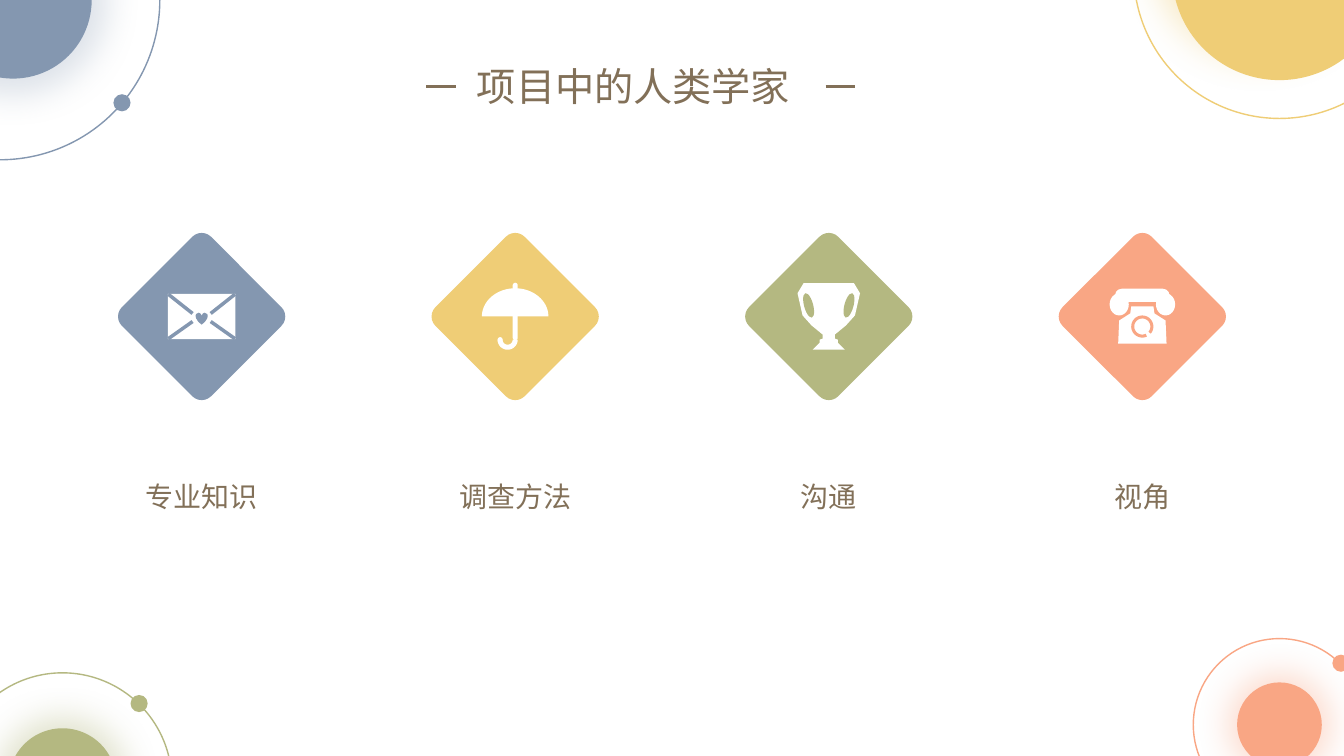
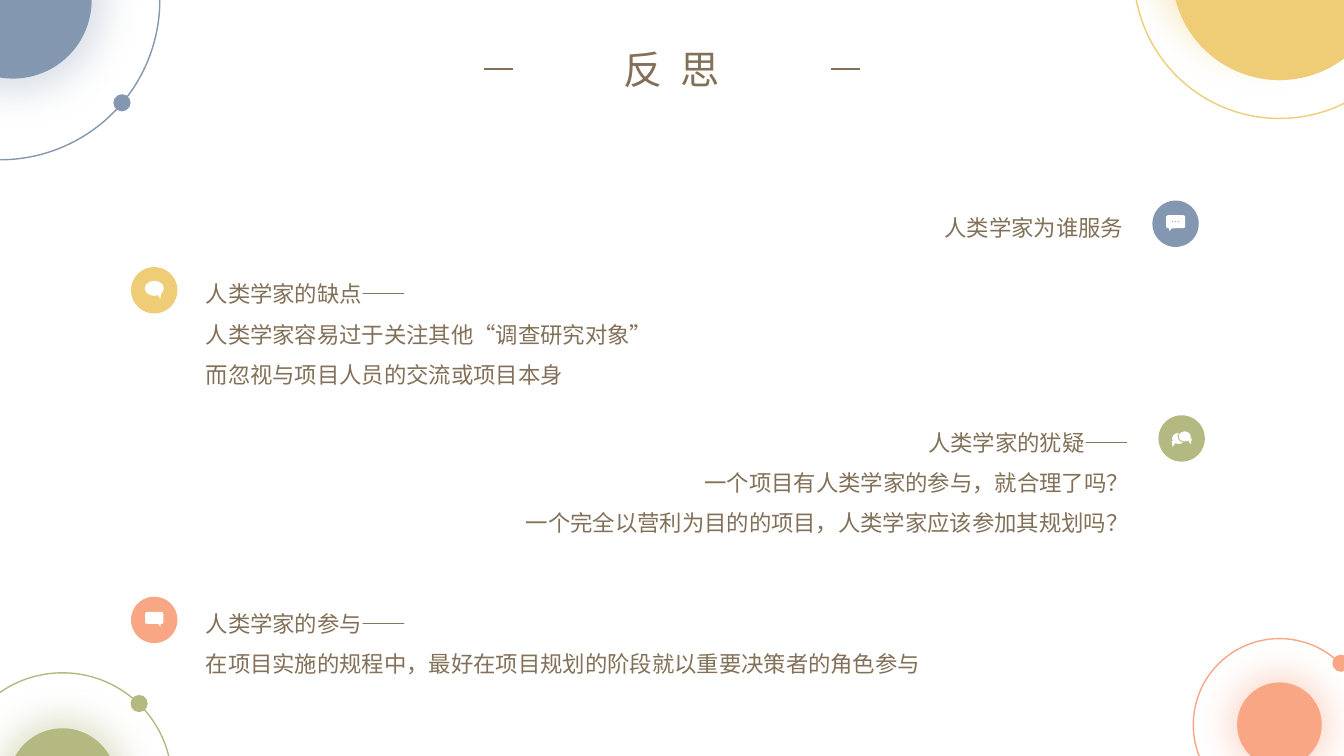
import math
from dataclasses import dataclass
from typing import Optional

from lxml import etree
from pptx import Presentation
from pptx.dml.color import RGBColor
from pptx.enum.lang import MSO_LANGUAGE_ID
from pptx.enum.shapes import MSO_CONNECTOR, MSO_SHAPE
from pptx.enum.text import MSO_ANCHOR, MSO_AUTO_SIZE, PP_ALIGN
from pptx.oxml.ns import qn
from pptx.util import Inches, Pt

BLUE = RGBColor(0x84, 0x97, 0xB0)
YELLOW = RGBColor(0xEF, 0xCD, 0x76)
GREEN = RGBColor(0xB4, 0xB8, 0x81)
CORAL = RGBColor(0xF9, 0xA6, 0x84)
BROWN = RGBColor(0x82, 0x70, 0x58)
WHITE = RGBColor(0xFF, 0xFF, 0xFF)

HEADING_FONT = "Noto Sans CJK SC"
BODY_FONT = "Calibri"
CHINESE = MSO_LANGUAGE_ID.SIMPLIFIED_CHINESE
OVAL = MSO_SHAPE.OVAL
RECTANGLE = MSO_SHAPE.RECTANGLE
ROUNDED = MSO_SHAPE.ROUNDED_RECTANGLE
HEART = MSO_SHAPE.HEART
STRAIGHT = MSO_CONNECTOR.STRAIGHT
LEFT, CENTER, RIGHT = PP_ALIGN.LEFT, PP_ALIGN.CENTER, PP_ALIGN.RIGHT
TOP = MSO_ANCHOR.TOP
NO_AUTOFIT = MSO_AUTO_SIZE.NONE

TITLE_ONLY = 5
DASH_LENGTH = 0.29
DOT_SIZE = 0.17
BADGE_SIZE = 0.46
DIAMOND_SIZE = 1.25
TOPIC_LEFT, TOPIC_STEP, TOPIC_Y = 2, 3.11, 3.14
SIDES = (-1, 1)


@dataclass
class Corner:
    color: RGBColor
    core: tuple
    core_size: float
    ring: tuple
    ring_size: float
    dot: Optional[tuple] = None
    opacity: int = 40
    glow_scale: int = 120
    glow_shift: int = 0


CORNERS = [
    Corner(BLUE, (0.13, 0), 1.56, (0, 0), 3.17, dot=(1.21, 1.02), opacity=28),
    Corner(YELLOW, (12.69, -0.27), 2.13, (12.69, -0.27), 2.89, glow_scale=100, glow_shift=20),
    Corner(CORAL, (12.69, 7.19), 0.84, (12.69, 7.19), 1.71, dot=(13.3, 6.58)),
    Corner(GREEN, (0.62, 7.76), 1.07, (0.62, 7.76), 2.17, dot=(1.38, 6.98)),
]


def paint(shape, fill=None, line=None):
    shape.shadow.inherit = False
    if fill is None:
        shape.fill.background()
    else:
        shape.fill.solid()
        shape.fill.fore_color.rgb = fill
    if line is None:
        shape.line.fill.background()
    else:
        shape.line.color.rgb = line
        shape.line.width = Pt(1)


def offset(center, x, y):
    return center[0] + x, center[1] + y


def add_centered(page, kind, center, width, height, fill=None, line=None):
    x, y = center
    shape = page.shapes.add_shape(
        kind, Inches(x - width / 2), Inches(y - height / 2), Inches(width), Inches(height))
    paint(shape, fill, line)
    return shape


def add_circle(page, center, size, fill=None, line=None):
    return add_centered(page, OVAL, center, size, size, fill, line)


def add_line(page, start, end, color, width):
    line = page.shapes.add_connector(STRAIGHT, *map(Inches, start + end))
    line.line.color.rgb = color
    line.line.width = Pt(width)
    etree.SubElement(line.element.spPr, qn("a:effectLst"))


def add_polygon(page, center, points, color):
    corners = [tuple(map(Inches, offset(center, x, y))) for x, y in points]
    builder = page.shapes.build_freeform(*corners[0])
    builder.add_line_segments(corners[1:], close=True)
    paint(builder.convert_to_shape(), color)


def arc(radius_x, radius_y, start, end, steps=36):
    angles = [math.radians(start + (end - start) * step / steps) for step in range(steps + 1)]
    return [(radius_x * math.cos(angle), radius_y * math.sin(angle)) for angle in angles]


def ring(outer, inner, start, end):
    return arc(outer, outer, start, end) + arc(inner, inner, end, start)


def mirrored(right_half):
    return right_half + [(-x, y) for x, y in reversed(right_half)]


def draw_envelope(page, center, color):
    add_centered(page, RECTANGLE, center, 0.67, 0.45, WHITE)
    for side in SIDES:
        for corner_y, fold_y in ((-0.22, -0.03), (0.22, 0.05)):
            add_line(page, offset(center, side * 0.33, corner_y),
                     offset(center, side * 0.09, fold_y), color, 2.5)
    add_centered(page, HEART, offset(center, 0, 0.02), 0.12, 0.12, color)


def draw_umbrella(page, center, color):
    stem_width, hook_radius = 0.05, 0.1
    add_polygon(page, center, arc(0.33, 0.28, 180, 360), WHITE)
    stem = add_centered(page, ROUNDED, offset(center, 0, -0.05), stem_width, 0.57, WHITE)
    stem.adjustments[0] = 0.5
    hook = offset(center, stem_width / 2 - hook_radius, 0.23)
    add_polygon(page, hook, ring(hook_radius, hook_radius - stem_width, 0, 180), WHITE)
    add_circle(page, offset(hook, stem_width / 2 - hook_radius, 0), stem_width, WHITE)


def draw_trophy(page, center, color):
    cup = [(0.25, -0.33), (0.31, -0.23), (0.26, -0.01), (0.17, 0.09)]
    stem = [(0.06, 0.18), (0.06, 0.22), (0.09, 0.23), (0.09, 0.26)]
    foot = [(0.16, 0.33)]
    add_polygon(page, center, mirrored(cup + stem + foot), WHITE)
    for side in SIDES:
        opening = add_centered(page, OVAL, offset(center, side * 0.2, -0.11), 0.09, 0.25, color)
        opening.rotation = side * 15


def draw_telephone(page, center, color):
    handset = add_centered(page, ROUNDED, offset(center, 0, -0.21), 0.54, 0.13, WHITE)
    handset.adjustments[0] = 0.5
    for side in SIDES:
        add_centered(page, OVAL, offset(center, side * 0.23, -0.12), 0.19, 0.22, WHITE)
    body = [(0.11, -0.1), (0.12, -0.03), (0.23, 0.04), (0.24, 0.27)]
    add_polygon(page, center, mirrored(body), WHITE)
    add_polygon(page, offset(center, 0, 0.1), ring(0.11, 0.08, 65, 400), color)


def draw_bubble(page, center, kind, width, height, side):
    middle = offset(center, 0, -0.02)
    add_centered(page, kind, middle, width, height, WHITE)
    base = height / 2 - 0.03
    tail = [(side * 0.02, base), (side * 0.07, base), (side * 0.06, height / 2 + 0.03)]
    add_polygon(page, middle, tail, WHITE)


def draw_dotted_bubble(page, center, color):
    draw_bubble(page, center, ROUNDED, 0.19, 0.13, -1)
    for column in (-1, 0, 1):
        add_circle(page, offset(center, column * 0.03, -0.02), 0.01, color)


def draw_round_bubble(page, center, color):
    draw_bubble(page, center, OVAL, 0.19, 0.15, 1)


def draw_square_bubble(page, center, color):
    draw_bubble(page, center, ROUNDED, 0.18, 0.12, 1)


def draw_double_bubble(page, center, color):
    back, front = offset(center, -0.03, 0.02), offset(center, 0.03, 0)
    add_centered(page, OVAL, front, 0.15, 0.13, color)
    draw_bubble(page, back, OVAL, 0.13, 0.11, -1)
    add_centered(page, OVAL, offset(front, 0, -0.02), 0.14, 0.12, color)
    draw_bubble(page, front, OVAL, 0.12, 0.1, 1)


def add_glow(shape, corner):
    effects = shape.element.spPr.find(qn("a:effectLst"))
    scale, up_left = str(corner.glow_scale * 1000), str(225 * 60000)
    shadow = etree.SubElement(
        effects, qn("a:outerShdw"), blurRad=str(Pt(25)), dist=str(Pt(corner.glow_shift)),
        dir=up_left, sx=scale, sy=scale, algn="ctr", rotWithShape="0")
    tint = etree.SubElement(shadow, qn("a:srgbClr"), val=str(corner.color))
    etree.SubElement(tint, qn("a:alpha"), val=str(corner.opacity * 1000))


def move_corners_to_layout(page, layout):
    for holder in list(layout.placeholders):
        if holder.placeholder_format.idx:
            layout.shapes.element.remove(holder.element)
    for corner in CORNERS:
        core = add_circle(page, corner.core, corner.core_size, corner.color)
        add_glow(core, corner)
        shapes = [core, add_circle(page, corner.ring, corner.ring_size, line=corner.color)]
        if corner.dot:
            shapes.append(add_circle(page, corner.dot, DOT_SIZE, corner.color))
        for shape in shapes:
            layout.shapes.element.append(shape.element)


def add_span(para, text, size, font, tracking=0):
    span = para.add_run()
    span.text = text
    span.font.size = Pt(size)
    span.font.color.rgb = BROWN
    span.font.name = font
    span.font.language_id = CHINESE
    properties = span._r.get_or_add_rPr()
    if font == HEADING_FONT:
        etree.SubElement(properties, qn("a:ea"), typeface=font)
    if tracking:
        properties.set("spc", str(tracking))


def add_text(page, area, lines, size, font, align, spacing=1.0):
    box = page.shapes.add_textbox(*map(Inches, area))
    frame = box.text_frame
    frame.word_wrap = True
    frame.margin_left = frame.margin_right = frame.margin_top = frame.margin_bottom = 0
    for index, line in enumerate(lines):
        para = frame.add_paragraph() if index else frame.paragraphs[0]
        para.alignment = align
        para.line_spacing = spacing
        add_span(para, line, size, font)


def set_title(page, area, spans, align, dash_starts):
    title = page.shapes.title
    title.left, title.top, title.width, title.height = map(Inches, area)
    frame = title.text_frame
    frame.auto_size = NO_AUTOFIT
    frame.vertical_anchor = TOP
    para = frame.paragraphs[0]
    para.alignment = align
    for text, tracking in spans:
        add_span(para, text, 28, HEADING_FONT, tracking)
    y = area[1] + area[3] / 2
    for start in dash_starts:
        add_line(page, (start, y), (start + DASH_LENGTH, y), BROWN, 2)


def build_topics(page):
    set_title(page, (4.63, 0.57, 3.56, 0.57), [("项目中的人类学家", 0)], LEFT, (4.23, 8.19))
    topics = [
        (BLUE, draw_envelope, "专业知识"),
        (YELLOW, draw_umbrella, "调查方法"),
        (GREEN, draw_trophy, "沟通"),
        (CORAL, draw_telephone, "视角"),
    ]
    for index, (color, draw_icon, label) in enumerate(topics):
        center = (TOPIC_LEFT + TOPIC_STEP * index, TOPIC_Y)
        diamond = add_centered(page, ROUNDED, center, DIAMOND_SIZE, DIAMOND_SIZE, color)
        diamond.adjustments[0] = 0.105
        diamond.rotation = 45
        draw_icon(page, center, color)
        add_text(page, (center[0] - 1.5, 4.76, 3, 0.34), [label], 20, HEADING_FONT, CENTER)


def build_reflections(page):
    set_title(page, (5.16, 0.4, 3.01, 0.57), [("反 ", 320), ("思", 0)], CENTER, (4.8, 8.24))
    reflections = [
        (BLUE, draw_dotted_bubble, (11.66, 2.22), 9.22, 1.92, RIGHT, ["人类学家为谁服务"]),
        (YELLOW, draw_round_bubble, (1.53, 2.88), 2.04, 4.79, LEFT, [
            "人类学家的缺点——",
            "人类学家容易过于关注其他“调查研究对象”",
            "而忽视与项目人员的交流或项目本身",
        ]),
        (GREEN, draw_double_bubble, (11.72, 4.35), 4.8, 6.4, RIGHT, [
            "人类学家的犹疑——",
            "一个项目有人类学家的参与，就合理了吗？",
            "一个完全以营利为目的的项目，人类学家应该参加其规划吗？",
        ]),
        (CORAL, draw_square_bubble, (1.53, 6.15), 2.04, 7.28, LEFT, [
            "人类学家的参与——",
            "在项目实施的规程中，最好在项目规划的阶段就以重要决策者的角色参与",
        ]),
    ]
    for color, draw_icon, center, left, width, align, lines in reflections:
        add_circle(page, center, BADGE_SIZE, color)
        draw_icon(page, center, color)
        area = (left, center[1] - BADGE_SIZE / 2, width, 0.4 * len(lines))
        add_text(page, area, lines, 16, BODY_FONT, align, 1.5)


def main():
    deck = Presentation()
    deck.slide_width, deck.slide_height = Inches(13.33), Inches(7.5)
    layout = deck.slide_layouts[TITLE_ONLY]
    topics = deck.slides.add_slide(layout)
    move_corners_to_layout(topics, layout)
    build_topics(topics)
    build_reflections(deck.slides.add_slide(layout))
    deck.save("out.pptx")


if __name__ == "__main__":
    main()
